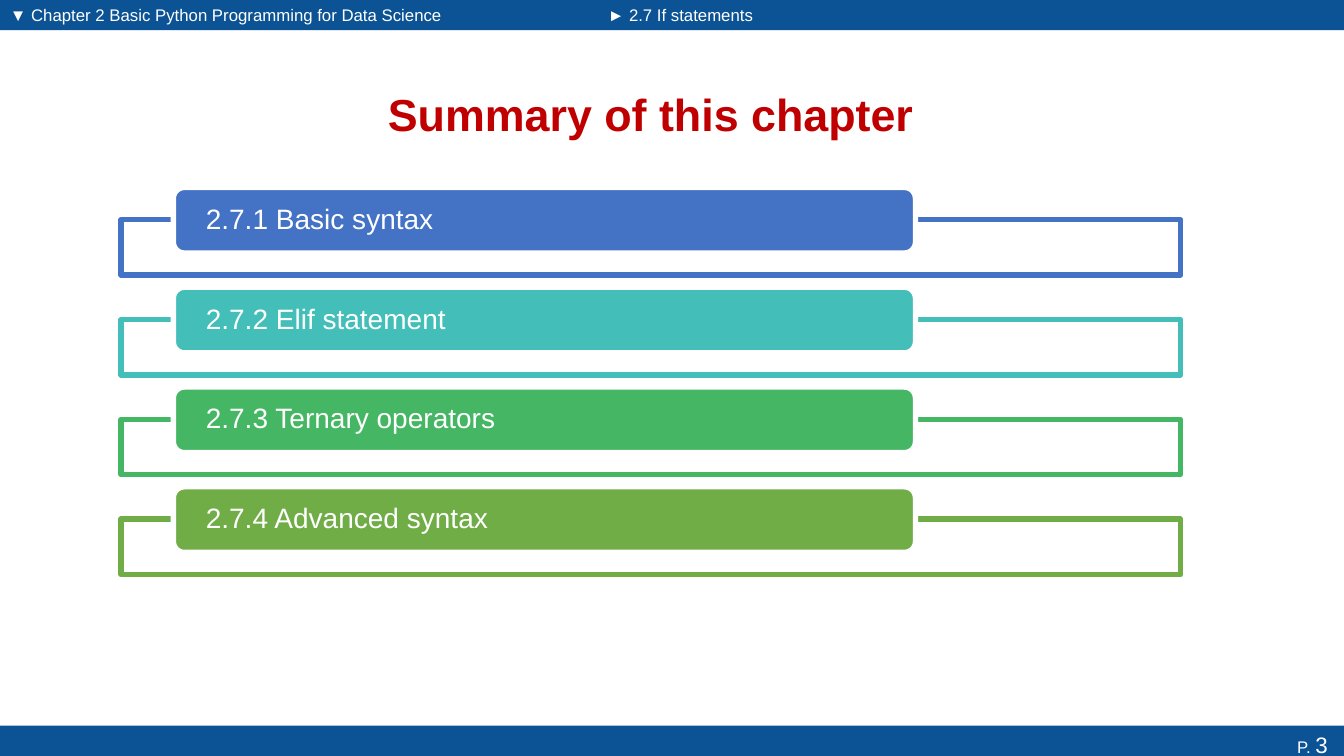
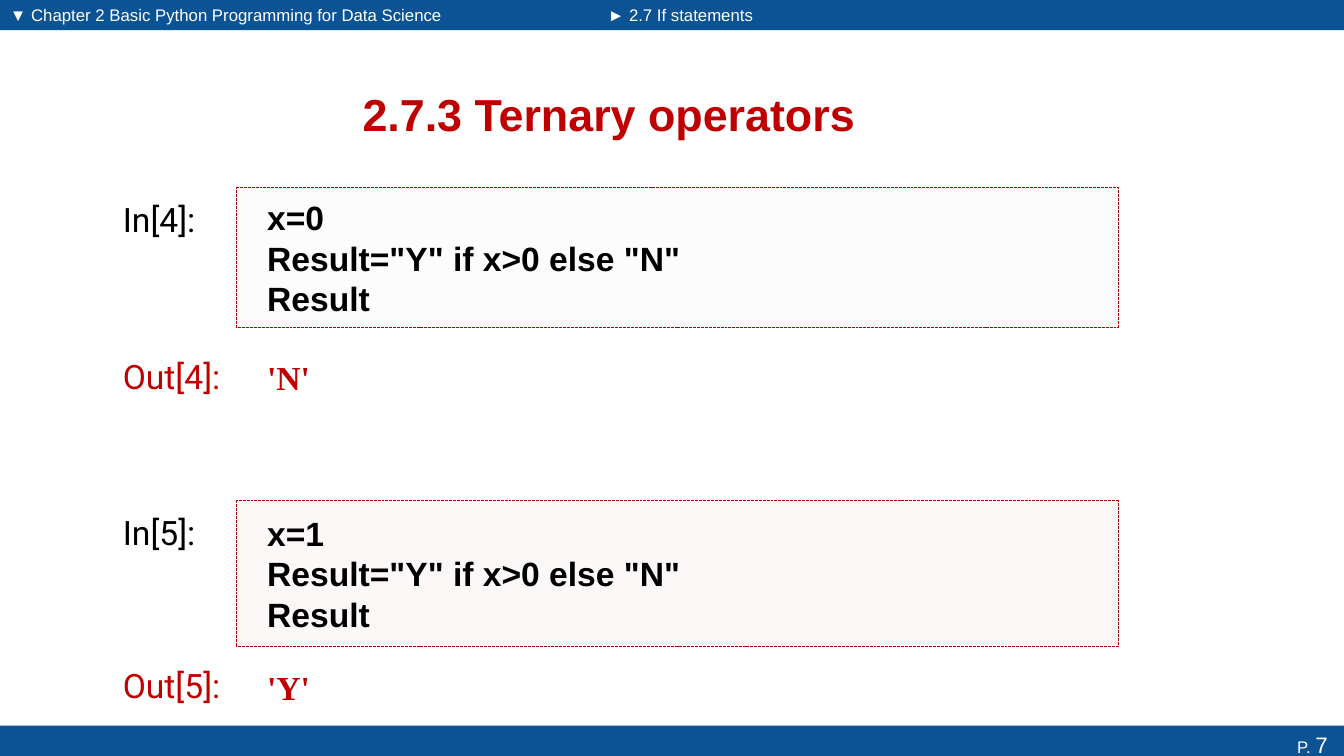
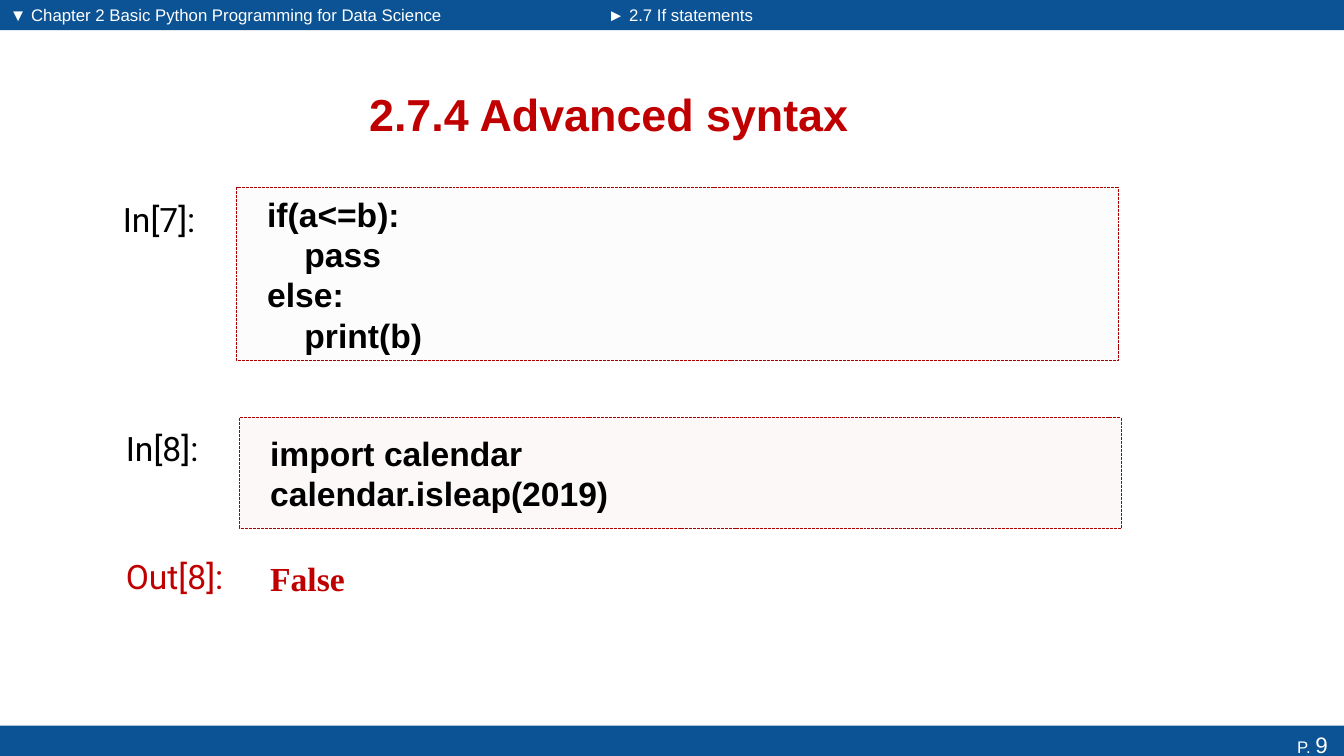
from lxml.etree import SubElement
from pptx import Presentation
from pptx.dml.color import RGBColor
from pptx.enum.dml import MSO_LINE
from pptx.enum.shapes import MSO_SHAPE as Preset
from pptx.enum.text import MSO_ANCHOR as Anchor, PP_ALIGN as Align
from pptx.oxml.ns import qn
from pptx.util import Inches, Pt

BAND_BLUE = RGBColor(0x0B, 0x53, 0x94)
WHITE = RGBColor(0xFF, 0xFF, 0xFF)
BLACK = RGBColor(0, 0, 0)
RED = RGBColor(0xC0, 0, 0)
CODE_LINE = RGBColor(0xAB, 0, 0)
CODE_GREY = RGBColor(0xF1, 0xEE, 0xF4)
CODE_ROSE = RGBColor(0xED, 0xCD, 0xCB)
TOPIC_COLORS = [
    RGBColor(0x44, 0x72, 0xC4),
    RGBColor(0x43, 0xBE, 0xB9),
    RGBColor(0x45, 0xB6, 0x64),
    RGBColor(0x70, 0xAD, 0x47),
]
SLIDE_WIDTH, SLIDE_HEIGHT = 13.33, 7.5
BAND_HEIGHT = 0.3
HEADER_SPLIT = 5.93
CHAPTER = "▼ Chapter 2 Basic Python Programming for Data Science"
SECTION = "► 2.7 If statements"
TOPICS = ["2.7.1 Basic syntax", "2.7.2 Elif statement",
          "2.7.3 Ternary operators", "2.7.4 Advanced syntax"]
CODE_INDENT = 0.37


def add_box(page, left, top, width, height, fill=None, preset=Preset.RECTANGLE,
            line=None, line_width=1, dash=None, opacity=None):
    place = Inches(left), Inches(top), Inches(width), Inches(height)
    if fill is None:
        return page.shapes.add_textbox(*place)
    box = page.shapes.add_shape(preset, *place)
    box.shadow.inherit = False
    box.fill.solid()
    box.fill.fore_color.rgb = fill
    if opacity is not None:
        color = box.fill._xPr.find(qn("a:solidFill"))[0]
        SubElement(color, qn("a:alpha")).set("val", str(opacity * 1000))
    if line is None:
        box.line.fill.background()
    else:
        box.line.color.rgb = line
        box.line.width = Pt(line_width)
        box.line.dash_style = dash
    return box


def write(box, lines, size=12, color=WHITE, font="Arial", bold=False,
          align=Align.LEFT, anchor=Anchor.TOP, insets=(0.1, 0.05, 0.1, 0.05),
          spacing=None, wrap=True):
    frame = box.text_frame
    frame.word_wrap = wrap
    frame.vertical_anchor = anchor
    frame.margin_left, frame.margin_top, frame.margin_right, frame.margin_bottom = map(Inches, insets)
    for index, line in enumerate(lines):
        para = frame.add_paragraph() if index else frame.paragraphs[0]
        para.alignment = align
        para.line_spacing = spacing
        text = line.lstrip()
        if text != line:
            para._p.get_or_add_pPr().set("marL", str(Inches(CODE_INDENT)))
        span = para.add_run()
        span.text = text
        span.font.size = Pt(size)
        span.font.name = font
        span.font.bold = bold
        span.font.color.rgb = color
    return frame


def add_frame(page, number):
    chapter = add_box(page, 0, 0, HEADER_SPLIT, BAND_HEIGHT, BAND_BLUE)
    section = add_box(page, HEADER_SPLIT, 0, SLIDE_WIDTH - HEADER_SPLIT, BAND_HEIGHT, BAND_BLUE)
    write(chapter, [CHAPTER])
    write(section, [SECTION])
    footer = add_box(page, 0, SLIDE_HEIGHT - BAND_HEIGHT, SLIDE_WIDTH, BAND_HEIGHT, BAND_BLUE)
    frame = write(footer, ["P. "], align=Align.RIGHT, insets=(0.1, 0.05, 0.16, 0))
    span = frame.paragraphs[0].add_run()
    span.text = str(number)
    span.font.size = Pt(16)
    span.font.name = "Arial"
    span.font.color.rgb = WHITE


def add_title(page, text, left, width):
    write(add_box(page, left, 0.68, width, 0.9), [text], size=32, color=RED,
          bold=True, align=Align.CENTER, anchor=Anchor.MIDDLE)


def add_topic(page, left, top, text, color):
    add_box(page, left, top + 0.32, 10.51, 0.55, WHITE, line=color,
            line_width=3.78, opacity=90)
    tab = add_box(page, left + 0.52, top, 7.36, 0.65, color,
                  preset=Preset.ROUNDED_RECTANGLE, line=WHITE, line_width=3.78)
    write(tab, [text], size=20, anchor=Anchor.MIDDLE,
          insets=(0.29, 0, 0.29, 0), spacing=0.9)


def add_label(page, left, top, text, color):
    write(add_box(page, left, top + 0.06, 1.35, 0.5), [text], size=24,
          color=color, font="Roboto", wrap=False)


def add_cell(page, left, top, height, number, code, fill, result=None, gap=0.17):
    content = {"size": 24, "bold": True, "anchor": Anchor.MIDDLE,
               "insets": (0.3, 0.05, 0.1, 0.05)}
    code_left, code_width = left + 1.23, 8.74
    add_label(page, left, top, f"In[{number}]:", BLACK)
    code_box = add_box(page, code_left, top, code_width, height, fill, line=CODE_LINE,
                       line_width=0.7, dash=MSO_LINE.SQUARE_DOT, opacity=13)
    write(code_box, code, color=BLACK, **content)
    if result:
        result_top = top + height + gap
        add_label(page, left, result_top, f"Out[{number}]:", RED)
        write(add_box(page, code_left, result_top, code_width, 0.65), [result],
              color=RED, font="Times New Roman", **content)


def add_page(deck, number):
    page = deck.slides.add_slide(deck.slide_layouts[6])
    add_frame(page, number)
    return page


def add_summary_page(deck):
    page = add_page(deck, 3)
    add_title(page, "Summary of this chapter", 2.51, 7.89)
    for row, (topic, color) in enumerate(zip(TOPICS, TOPIC_COLORS)):
        add_topic(page, 1.2, 1.86 + row * 0.99, topic, color)


def add_code_page(deck, number, title, cells):
    page = add_page(deck, number)
    add_title(page, title, 0.68, 10.72)
    for cell in cells:
        add_cell(page, **cell)


def main():
    deck = Presentation()
    deck.slide_width, deck.slide_height = Inches(SLIDE_WIDTH), Inches(SLIDE_HEIGHT)
    ternary = ['Result="Y" if x>0 else "N"', "Result"]
    add_summary_page(deck)
    add_code_page(deck, 7, TOPICS[2], [
        dict(left=1.12, top=1.86, height=1.39, number=4, code=["x=0", *ternary],
             fill=CODE_GREY, result="'N'"),
        dict(left=1.12, top=4.97, height=1.44, number=5, code=["x=1", *ternary],
             fill=CODE_ROSE, result="'Y'", gap=0.08),
    ])
    add_code_page(deck, 9, TOPICS[3], [
        dict(left=1.12, top=1.86, height=1.72, number=7, fill=CODE_GREY,
             code=["if(a<=b):", "    pass", "else:", "    print(b)"]),
        dict(left=1.15, top=4.14, height=1.1, number=8, fill=CODE_ROSE,
             code=["import calendar", "calendar.isleap(2019)"], result="False"),
    ])
    deck.save("out.pptx")


if __name__ == "__main__":
    main()
